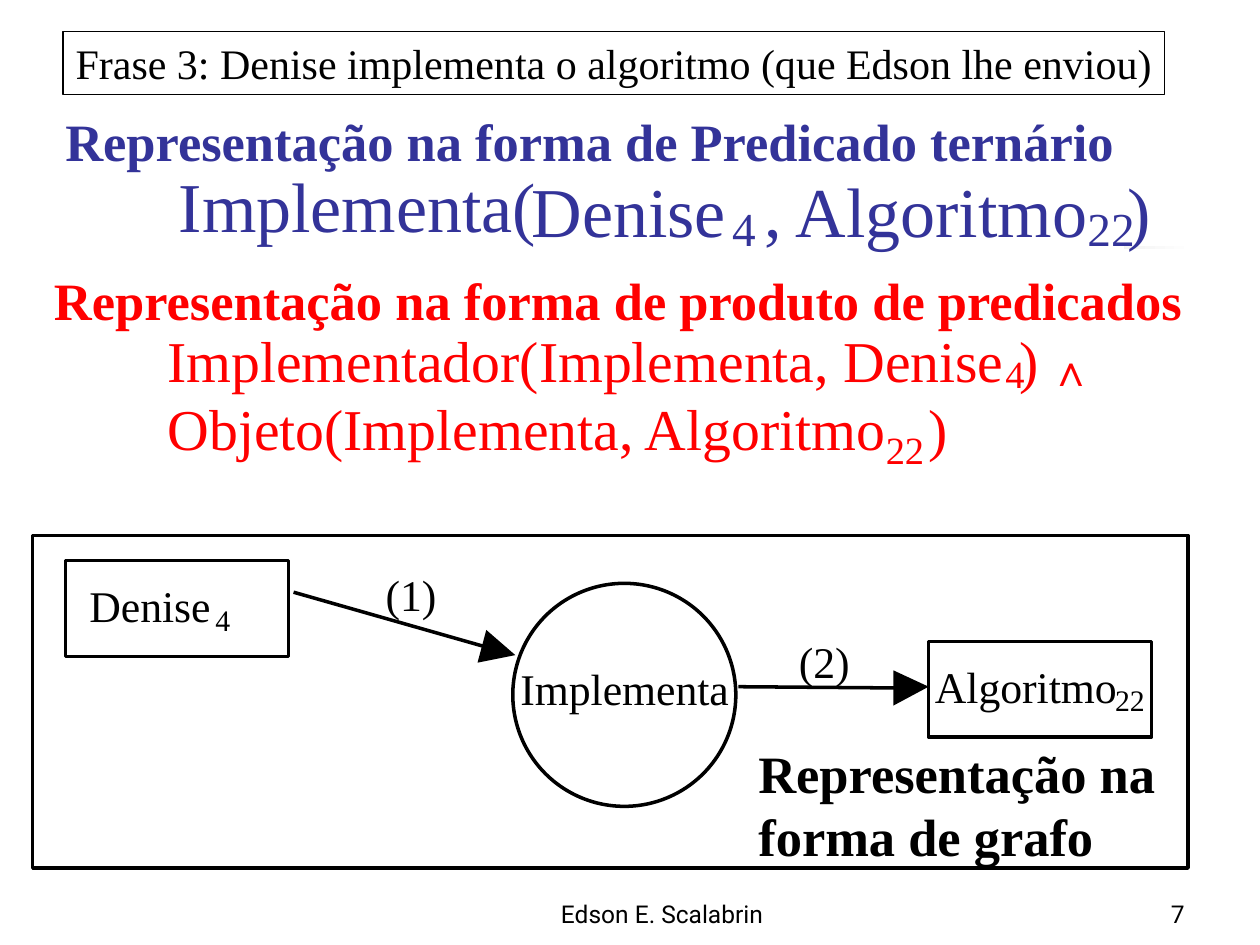
from lxml import etree
from pptx import Presentation
from pptx.dml.color import RGBColor
from pptx.enum.shapes import MSO_CONNECTOR, MSO_SHAPE
from pptx.enum.text import MSO_ANCHOR, MSO_AUTO_SIZE, PP_ALIGN
from pptx.oxml.ns import qn
from pptx.util import Inches, Pt

RECT, OVAL = MSO_SHAPE.RECTANGLE, MSO_SHAPE.OVAL
LEFT, CENTER, RIGHT = PP_ALIGN.LEFT, PP_ALIGN.CENTER, PP_ALIGN.RIGHT
TOP, MIDDLE, BOTTOM = MSO_ANCHOR.TOP, MSO_ANCHOR.MIDDLE, MSO_ANCHOR.BOTTOM
SERIF, SANS, FOOTER_FONT = "Times New Roman", "Arial", "Roboto"
BLUE, RED, BLACK, WHITE = "333399", "FF0000", "000000", "FFFFFF"
PADDING = (0.1, 0.05)
LINE_HEIGHT = 1.2
STROKE = 2

SENTENCE = "Frase 3: Denise implementa o algoritmo (que Edson lhe enviou)"

# text, left, top, width, height, colour
HEADINGS = [
    ("Representação na forma de Predicado ternário", 0.42, 0.82, 9.25, 0.6, BLUE),
    ("Representação na forma de produto de predicados", 0.33, 2.08, 9.25, 0.6, RED),
    ("Representação na\vforma de grafo", 5.92, 5.83, 4.08, 1.1, BLACK),
]

# (size, colour, font): [(text, left, top, width)]
FORMULAS = {
    (40, BLUE, SERIF): [("Implementa(", 1.42, 1.29, 2.84), ("Denise", 4.22, 1.33, 1.54),
                        (", Algoritmo", 6.07, 1.33, 2.59), (")", 8.95, 1.33, 0.19)],
    (27, BLUE, SERIF): [("4", 5.81, 1.58, 0.19), ("22", 8.63, 1.58, 0.38)],
    (33, RED, SERIF): [("Implementador(Implementa, Denise", 1.33, 2.58, 6.64),
                       (")", 8.09, 2.58, 0.15),
                       ("Objeto(Implementa, Algoritmo", 1.33, 3.12, 5.73),
                       (")", 7.37, 3.12, 0.15)],
    (22, RED, SERIF): [("4", 7.98, 2.78, 0.15), ("22", 7.03, 3.38, 0.31)],
    (25, RED, SANS): [("∧", 8.33, 2.72, 0.12)],
}
GRAPH_LABELS = {
    (25, BLACK, SERIF): [("Denise", 0.71, 4.59, 0.96), ("Algoritmo", 7.42, 5.24, 1.44),
                         ("Implementa", 4.13, 5.25, 1.66),
                         ("(1)", 3.06, 4.51, 0.41), ("(2)", 6.34, 5.04, 0.41)],
    (17, BLACK, SERIF): [("4", 1.71, 4.78, 0.12), ("22", 8.85, 5.41, 0.24)],
}

GRAPH_FRAME = (RECT, 0.26, 4.25, 9.17, 2.64)
GRAPH_NODES = [
    (RECT, 0.52, 4.45, 1.77, 0.76),
    (RECT, 7.37, 5.09, 1.77, 0.76),
    (OVAL, 4.07, 4.63, 1.77, 1.77),
]
# shaft start, shaft end, arrowhead corners
GRAPH_EDGES = [
    ((2.33, 4.7), (3.84, 5.13), [(3.79, 5.26), (4.09, 5.2), (3.86, 5)]),
    ((5.86, 5.45), (7.11, 5.46), [(7.09, 5.6), (7.37, 5.45), (7.09, 5.32)]),
]

# text, left, width, alignment
FOOTER = [("Edson E. Scalabrin", 3.67, 3.17, CENTER), ("7", 7.42, 2.08, RIGHT)]


def rgb(value):
    """Turn a hex string into a colour."""
    return RGBColor.from_string(value)


def inches(*values):
    """Convert several numbers to lengths."""
    return [Inches(value) for value in values]


def write(shape, text, size, colour, font=SERIF, bold=False, align=LEFT,
          anchor=TOP, wrap=True, padding=PADDING):
    """Set and format the text of a shape."""
    frame = shape.text_frame
    frame.text = text
    frame.word_wrap = wrap
    frame.auto_size = MSO_AUTO_SIZE.NONE
    frame.vertical_anchor = anchor
    frame.margin_left = frame.margin_right = Inches(padding[0])
    frame.margin_top = frame.margin_bottom = Inches(padding[1])
    for paragraph in frame.paragraphs:
        paragraph.alignment = align
        for run in paragraph.runs:
            run.font.size = Pt(size)
            run.font.name = font
            run.font.bold = bold
            run.font.color.rgb = rgb(colour)


def add_text(text, box, *style, **options):
    """Add a formatted text box."""
    write(slide.shapes.add_textbox(*inches(*box)), text, *style, **options)


def add_pieces(groups):
    """Add one-line pieces of text, grouped by style."""
    for (size, colour, font), pieces in groups.items():
        for text, left, top, width in pieces:
            box = (left, top, width, size * LINE_HEIGHT / 72)
            add_text(text, box, size, colour, font, wrap=False, padding=(0, 0))


def paint(shape, fill, line=None):
    """Give a shape a flat fill and an optional outline."""
    shape.shadow.inherit = False
    shape.fill.solid()
    shape.fill.fore_color.rgb = rgb(fill)
    if line:
        shape.line.color.rgb = rgb(line)
        shape.line.width = Pt(STROKE)
    else:
        shape.line.fill.background()


def add_box(kind, *box, line=None):
    """Add a white preset shape."""
    shape = slide.shapes.add_shape(kind, *inches(*box))
    paint(shape, WHITE, line)
    return shape


def add_edge(start, end, corners):
    """Add a shaft and its triangular arrowhead."""
    shaft = slide.shapes.add_connector(MSO_CONNECTOR.STRAIGHT, *inches(*start, *end))
    shaft.line.color.rgb = rgb(BLACK)
    shaft.line.width = Pt(STROKE)
    etree.SubElement(shaft._element.spPr, qn("a:effectLst"))
    first, *others = [inches(*corner) for corner in corners]
    builder = slide.shapes.build_freeform(*first)
    builder.add_line_segments(others, close=True)
    paint(builder.convert_to_shape(), BLACK)


deck = Presentation()
deck.slide_width, deck.slide_height = inches(10, 7.5)
slide = deck.slides.add_slide(deck.slide_layouts[5])

title = slide.shapes.title
title.left, title.top, title.width, title.height = inches(0.5, 0.25, 8.74, 0.5)
write(title, SENTENCE, 24, BLACK, anchor=MIDDLE, wrap=False)
title.text_frame.margin_right = 0  # leaves the sentence room for one line
title.line.color.rgb = rgb(BLACK)
title.line.width = Pt(0.75)

rule = add_box(RECT, 0.48, 1.95, 9, 0.03)
rule.fill.gradient()
rule.fill.gradient_angle = 180
for stop, colour in zip(rule.fill.gradient_stops, (WHITE, "1C1C1C")):
    stop.color.rgb = rgb(colour)
add_box(RECT, 0, 1, 8.92, 1.33)

add_pieces(FORMULAS)
add_box(*GRAPH_FRAME, line=BLACK)
for node in GRAPH_NODES:
    add_box(*node, line=BLACK)
for edge in GRAPH_EDGES:
    add_edge(*edge)
add_pieces(GRAPH_LABELS)
for heading, *box, colour in HEADINGS:
    add_text(heading, box, 30, colour, bold=True)
for text, left, width, align in FOOTER:
    add_text(text, (left, 6.92, width, 0.5), 14, BLACK, FOOTER_FONT,
             align=align, anchor=BOTTOM)

deck.save("out.pptx")
